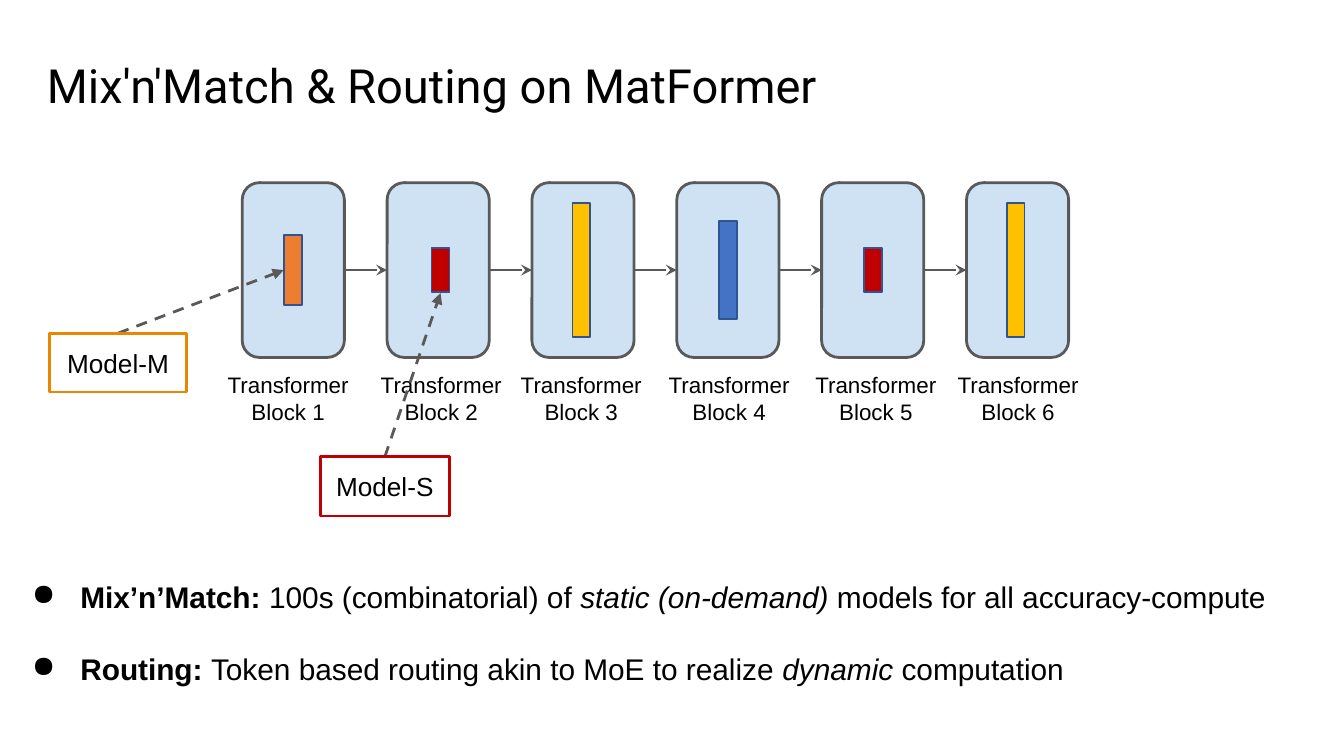
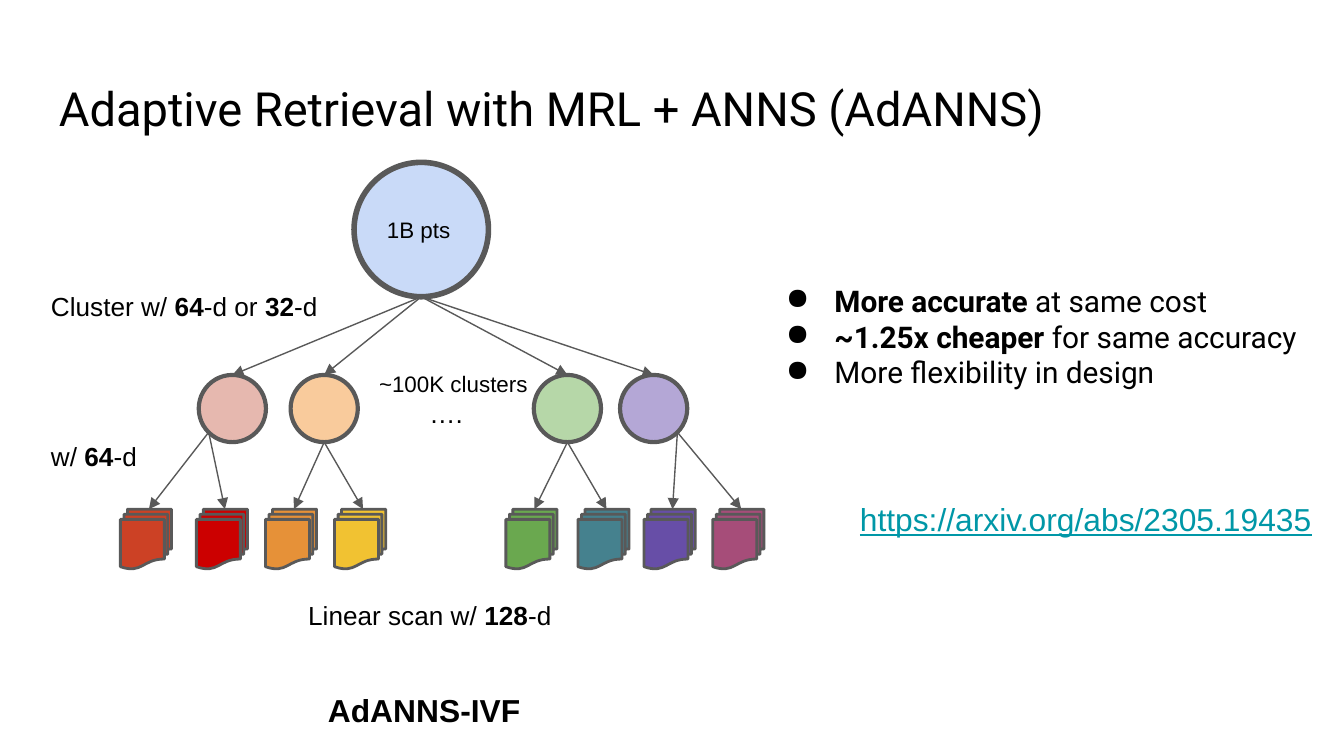
from itertools import pairwise

from lxml import etree
from pptx import Presentation
from pptx.dml.color import RGBColor
from pptx.enum.dml import MSO_LINE
from pptx.enum.shapes import MSO_CONNECTOR, MSO_SHAPE as SHAPE
from pptx.enum.text import MSO_ANCHOR as ANCHOR, PP_ALIGN as ALIGN
from pptx.oxml.ns import qn
from pptx.util import Pt

# Shared style
BLACK, GREY, WHITE = "000000", "595959", "FFFFFF"
RED, BAR_LINE = "C00000", "31538F"
BODY, HEAD = "Arial", "Roboto"
INSET = 7.2


def rgb(value):
    return RGBColor.from_string(value)


# Text
def add_bullet(p):
    pPr = p._p.get_or_add_pPr()
    pPr.set("marL", str(Pt(36)))
    pPr.set("indent", str(-Pt(26)))
    color = etree.SubElement(pPr, qn("a:buClr"))
    etree.SubElement(color, qn("a:srgbClr"), val=BLACK)
    etree.SubElement(pPr, qn("a:buChar"), char="●")


def write(shape, paragraphs, size, font=BODY, color=BLACK, align=ALIGN.LEFT,
          anchor=ANCHOR.MIDDLE, bullets=False, gap=0):
    """Each paragraph is a list of (text, style); style holds b, i or u."""
    tf = shape.text_frame
    tf.word_wrap = True
    tf.vertical_anchor = anchor
    tf.margin_left = tf.margin_right = tf.margin_top = tf.margin_bottom = Pt(INSET)
    for i, runs in enumerate(paragraphs):
        p = tf.paragraphs[0] if i == 0 else tf.add_paragraph()
        if bullets:
            add_bullet(p)
        p.alignment = align
        if i and gap:
            p.space_before = Pt(gap)
        for text, style in runs:
            r = p.add_run()
            r.text = text
            r.font.name, r.font.size = font, Pt(size)
            r.font.color.rgb = rgb(color)
            r.font.bold = "b" in style
            r.font.italic = "i" in style
            r.font.underline = "u" in style


def add_text(s, box, paragraphs, size, **style):
    write(s.shapes.add_textbox(*map(Pt, box)), paragraphs, size, **style)


def add_title(s, left, top, text):
    add_text(s, (left, top, 671, 45), [[(text, "")]], 25.2, font=HEAD,
             anchor=ANCHOR.TOP)


# Shapes and arrows
def add_box(s, kind, box, fill=None, line=None, width=1.5):
    shape = s.shapes.add_shape(kind, *map(Pt, box))
    shape.shadow.inherit = False
    if fill:
        shape.fill.solid()
        shape.fill.fore_color.rgb = rgb(fill)
    else:
        shape.fill.background()
    if line:
        shape.line.color.rgb = rgb(line)
        shape.line.width = Pt(width)
    else:
        shape.line.fill.background()
    return shape


def add_arrow(s, start, end, width=1.5, head="triangle", dashed=False):
    cxn = s.shapes.add_connector(MSO_CONNECTOR.STRAIGHT, *map(Pt, (*start, *end)))
    cxn.line.color.rgb = rgb(GREY)
    cxn.line.width = Pt(width)
    if dashed:
        cxn.line.dash_style = MSO_LINE.DASH
    etree.SubElement(cxn.line._get_or_add_ln(), qn("a:tailEnd"), type=head)
    etree.SubElement(cxn._element.spPr, qn("a:effectLst"))


def add_model_tag(s, box, name, color, target):
    left, top, width, _ = box
    add_arrow(s, (left + width / 2, top), target, dashed=True)
    tag = add_box(s, SHAPE.RECTANGLE, box, line=color)
    write(tag, [[(name, "")]], 14, align=ALIGN.CENTER)


# Slide 1: a chain of blocks, each with a bar for its model size
def build_routing(s):
    mid, block_w, block_h, bar_w = 144.7, 54.7, 93.6, 9.6
    small, medium = (RED, 23.8), ("ED7D31", 37.4)
    large, full = ("4472C4", 52.6), ("FFC000", 72)
    # bar left, label left, (bar colour, bar height)
    blocks = [(152, 113, medium), (231.2, 195, small), (306.7, 270, full),
              (385.2, 349.2, large), (463, 427.8, small), (539.3, 504, full)]
    lefts = [129.8 + 77.6 * i for i in range(len(blocks))]

    for n, (left, block) in enumerate(zip(lefts, blocks), 1):
        bar_left, label_left, (color, height) = block
        add_box(s, SHAPE.ROUNDED_RECTANGLE,
                (left, mid - block_h / 2, block_w, block_h), "CFE2F3", GREY)
        add_box(s, SHAPE.RECTANGLE, (bar_left, mid - height / 2, bar_w, height),
                color, BAR_LINE, 1)
        add_text(s, (label_left, 191.5, 82.8, 44),
                 [[(f"Transformer Block {n}", "")]], 12,
                 align=ALIGN.CENTER, anchor=ANCHOR.TOP)
    for left, following in pairwise(lefts):
        add_arrow(s, (left + block_w, mid), (following, mid), head="stealth")

    add_model_tag(s, (26.5, 178.5, 73.5, 31.5), "Model-M", "EA8600", (152, mid))
    add_model_tag(s, (171.5, 244.8, 69.3, 31.7), "Model-S", RED, (236, 157))

    add_title(s, 18, 23, "Mix'n'Match & Routing on MatFormer")
    add_text(s, (0, 287.5, 720, 103), [
        [("Mix’n’Match: ", "b"), ("100s (combinatorial) of ", ""),
         ("static (on-demand)", "i"), (" models for all accuracy-compute", "")],
        [("Routing: ", "b"), ("Token based routing akin to MoE to realize ", ""),
         ("dynamic", "i"), (" computation", "")],
    ], 16, bullets=True, gap=19.5)


# Slide 2: a search tree from all points to clusters to documents
def build_retrieval(s):
    add_title(s, 24.5, 35.3, "Adaptive Retrieval with MRL + ANNS (AdANNS)")

    root = add_box(s, SHAPE.OVAL, (189.7, 87, 72, 72), "C9DAF8", GREY, 3)
    write(root, [[("1B pts", "")]], 12)
    root_foot = (225.7, 159)

    # cluster left, colour, foot offset, two documents (left, colour)
    size, top, doc_top = 36, 200.9, 272.8
    clusters = [
        (106.5, "E6B8AF", (5.3, 30.7), ((64.5, "CC4125"), (105.2, "CC0000"))),
        (155.7, "F9CB9C", (18, 36), ((142.2, "E69138"), (179.2, "F1C232"))),
        (286, "B6D7A8", (18, 36), ((271, "6AA84F"), (309.6, "45818E"))),
        (332.2, "B4A7D6", (30.7, 30.7), ((345, "674EA7"), (381.8, "A64D79"))),
    ]
    for left, color, (dx, dy), docs in clusters:
        add_box(s, SHAPE.OVAL, (left, top, size, size), color, GREY, 2.25)
        add_arrow(s, root_foot, (left + size / 2, top), 0.75)
        for doc_left, doc_color in docs:
            add_box(s, SHAPE.FLOWCHART_MULTIDOCUMENT,
                    (doc_left, doc_top, 27.4, 32), doc_color, GREY)
            add_arrow(s, (left + dx, top + dy), (doc_left + 15.3, doc_top), 0.75)

    # Notes beside the tree
    for box, runs in [
        ((20.2, 154.8, 192, 18.7), [("Cluster w/ ", ""), ("64", "b"),
                                    ("-d or ", ""), ("32", "b"), ("-d", "")]),
        ((158, 320, 168, 18.7), [("Linear scan w/ ", ""), ("128", "b"), ("-d", "")]),
        ((20.2, 234.8, 135, 18.7), [("w/ ", ""), ("64", "b"), ("-d", "")]),
    ]:
        add_text(s, box, [runs], 14)
    add_text(s, (103, 363, 248.4, 36), [[("AdANNS-IVF", "b")]], 17,
             align=ALIGN.CENTER, anchor=ANCHOR.TOP)
    add_text(s, (213, 211.7, 52, 18.7), [[("….", "")]], 14, align=ALIGN.CENTER)
    add_text(s, (196, 199.6, 100.8, 12.2), [[("~100K clusters", "")]], 12)

    # Benefits and reference
    panel = add_box(s, SHAPE.RECTANGLE, (404, 152.8, 307.4, 54.7), WHITE)
    write(panel, [
        [("More accurate", "b"), (" at same cost", "")],
        [("~1.25x cheaper", "b"), (" for same accuracy", "")],
        [("More flexibility in design", "")],
    ], 16, font=HEAD, bullets=True)
    add_text(s, (453.6, 260.6, 257.8, 35.3),
             [[("https://arxiv.org/abs/2305.19435", "u")]], 17,
             color="0097A7", anchor=ANCHOR.TOP)


def main():
    prs = Presentation()
    prs.slide_width, prs.slide_height = Pt(720), Pt(405)
    for build in (build_routing, build_retrieval):
        build(prs.slides.add_slide(prs.slide_layouts[6]))
    prs.save("out.pptx")


if __name__ == "__main__":
    main()
